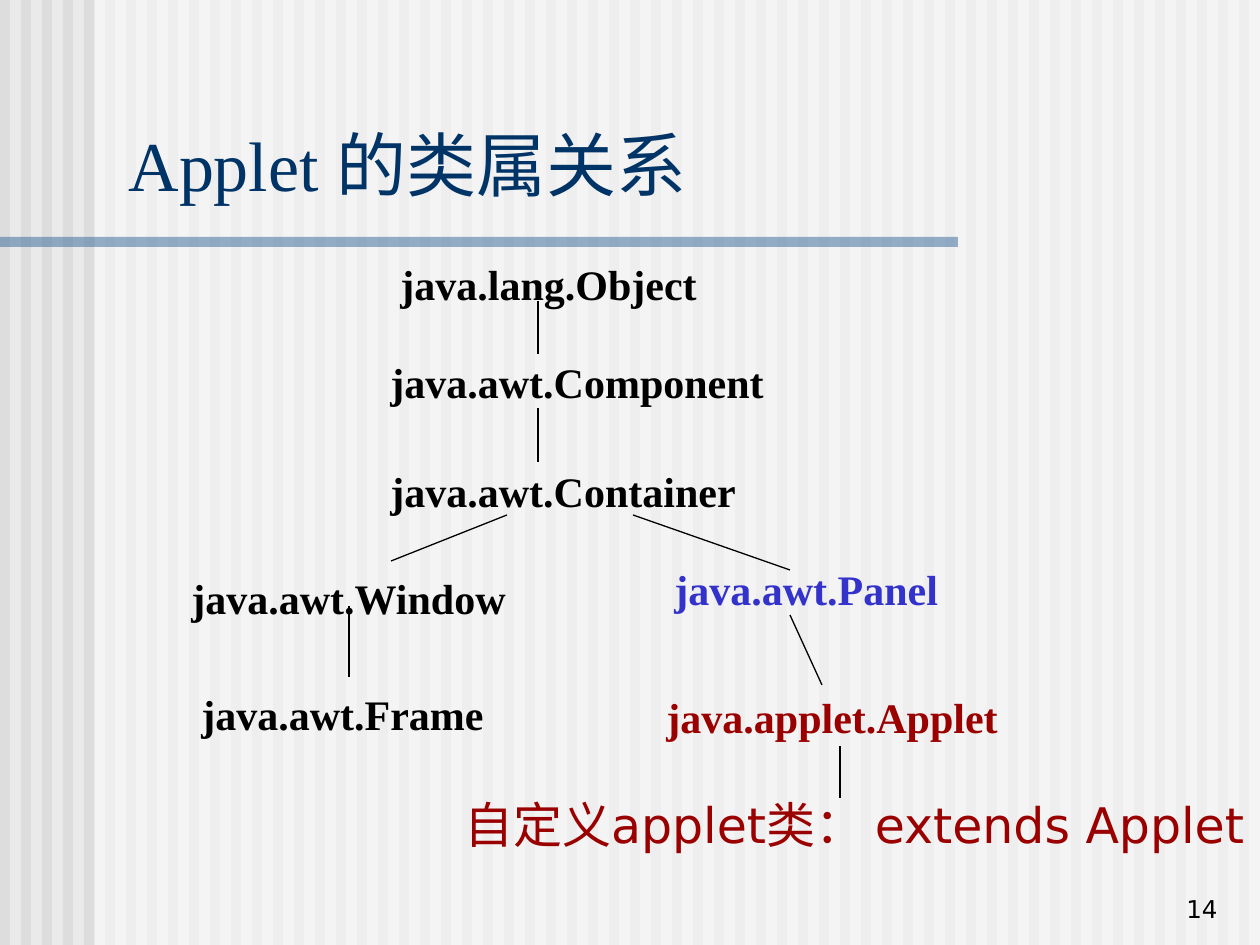
"""Draw the class tree of Applet on one slide."""
import dataclasses
import typing

import lxml.etree
import pptx
import pptx.dml.color
import pptx.enum.shapes
import pptx.enum.text
import pptx.oxml.ns
import pptx.util

SCALE = 914400 / 126
WIDE, HIGH = 1260, 945
PITCH = 21
HUES = {
    "base": "EAEAEA", "stripe": "DDDDDD", "veil": "FFFFFF", "bar": "336699",
    "title": "003366", "ink": "000000", "blue": "3333CC", "red": "9A0000",
}
SERIF, SANS = "Times New Roman", "DejaVu Sans"
ALIGN = pptx.enum.text.PP_ALIGN
ANCHOR = pptx.enum.text.MSO_ANCHOR


@dataclasses.dataclass
class Box:
    left: int
    top: int
    width: int
    height: int


@dataclasses.dataclass
class Label:
    text: str
    box: Box
    hue: str = "ink"
    face: str = SERIF
    size: int = 24
    bold: bool = False
    wrap: bool = True
    align: typing.Any = ALIGN.LEFT
    anchor: typing.Any = ANCHOR.TOP


@dataclasses.dataclass
class Link:
    left: int
    top: int
    right: int
    base: int


def node(text: str, left: int, top: int, width: int, hue: str = "ink") -> Label:
    return Label(text, Box(left, top, width, 63), hue, bold=True, wrap=False)


NODES = [
    node("java.lang.Object", 388, 252, 321),
    node("java.awt.Component", 378, 350, 398),
    node("java.awt.Container", 378, 459, 370),
    node("java.awt.Window", 179, 566, 340),
    node("java.awt.Panel", 662, 557, 289, "blue"),
    node("java.awt.Frame", 189, 682, 307),
    node("java.applet.Applet", 654, 685, 357, "red"),
]
LINKS = [
    Link(538, 301, 538, 354),
    Link(538, 408, 538, 462),
    Link(507, 515, 391, 561),
    Link(349, 606, 349, 677),
    Link(633, 515, 790, 570),
    Link(790, 615, 822, 685),
    Link(840, 746, 840, 798),
]
TITLE = Label("Applet 的类属关系", Box(116, 115, 1125, 97), "title",
              size=40, anchor=ANCHOR.BOTTOM)
NOTES = [
    Label("自定义applet类： extends Applet", Box(452, 788, 808, 72), "red",
          SANS, 28),
    Label("14", Box(968, 867, 262, 63), face=SANS, size=14,
          align=ALIGN.RIGHT, anchor=ANCHOR.BOTTOM),
]


def emu(px: int) -> int:
    return round(px * SCALE)


def tint(hue: str) -> pptx.dml.color.RGBColor:
    return pptx.dml.color.RGBColor.from_string(HUES[hue])


def apply(thing: typing.Any, form: dict[str, typing.Any]) -> None:
    for name, value in form.items():
        setattr(thing, name, value)


def frame(box: Box) -> list[int]:
    return [emu(px) for px in dataclasses.astuple(box)]


def block(slide: typing.Any, box: Box, hue: str, alpha: int = 100) -> None:
    kind = pptx.enum.shapes.MSO_SHAPE.RECTANGLE
    shape = slide.shapes.add_shape(kind, *frame(box))
    shape.shadow.inherit = False
    shape.line.fill.background()
    shape.fill.solid()
    shape.fill.fore_color.rgb = tint(hue)
    if alpha < 100:
        mark = pptx.oxml.ns.qn("a:srgbClr")
        color = next(shape.fill._xPr.iter(mark))
        part = lxml.etree.SubElement(color, pptx.oxml.ns.qn("a:alpha"))
        part.set("val", str(alpha * 1000))


def write(shape: typing.Any, label: Label) -> None:
    body = shape.text_frame
    body.text = label.text
    apply(body, {
        "word_wrap": label.wrap,
        "auto_size": pptx.enum.text.MSO_AUTO_SIZE.NONE,
        "vertical_anchor": label.anchor,
    })
    line = body.paragraphs[0]
    line.alignment = label.align
    font = line.runs[0].font
    apply(font, {
        "name": label.face,
        "size": pptx.util.Pt(label.size),
        "bold": label.bold,
    })
    font.color.rgb = tint(label.hue)


def place(slide: typing.Any, label: Label) -> None:
    write(slide.shapes.add_textbox(*frame(label.box)), label)


def join(slide: typing.Any, link: Link) -> None:
    kind = pptx.enum.shapes.MSO_CONNECTOR.STRAIGHT
    ends = [emu(px) for px in dataclasses.astuple(link)]
    line = slide.shapes.add_connector(kind, *ends)
    line.line.color.rgb = tint("ink")
    line.line.width = pptx.util.Pt(0.75)
    lxml.etree.SubElement(line._element.spPr, pptx.oxml.ns.qn("a:effectLst"))


def head(slide: typing.Any, label: Label) -> None:
    shape = slide.shapes.title
    names = ["left", "top", "width", "height"]
    apply(shape, dict(zip(names, frame(label.box))))
    write(shape, label)
    slide.shapes._spTree.append(shape._element)


def main() -> None:
    deck = pptx.Presentation()
    apply(deck, {"slide_width": emu(WIDE), "slide_height": emu(HIGH)})
    slide = deck.slides.add_slide(deck.slide_layouts[5])
    slide.background.fill.solid()
    slide.background.fill.fore_color.rgb = tint("base")
    for left in range(0, WIDE, PITCH):
        block(slide, Box(left, 0, PITCH // 2, HIGH), "stripe")
    block(slide, Box(95, 0, WIDE - 95, HIGH), "veil", 50)
    block(slide, Box(0, 237, 958, 10), "bar", 50)
    head(slide, TITLE)
    for label in NODES + NOTES:
        place(slide, label)
    for link in LINKS:
        join(slide, link)
    deck.save("out.pptx")


if __name__ == "__main__":
    main()
